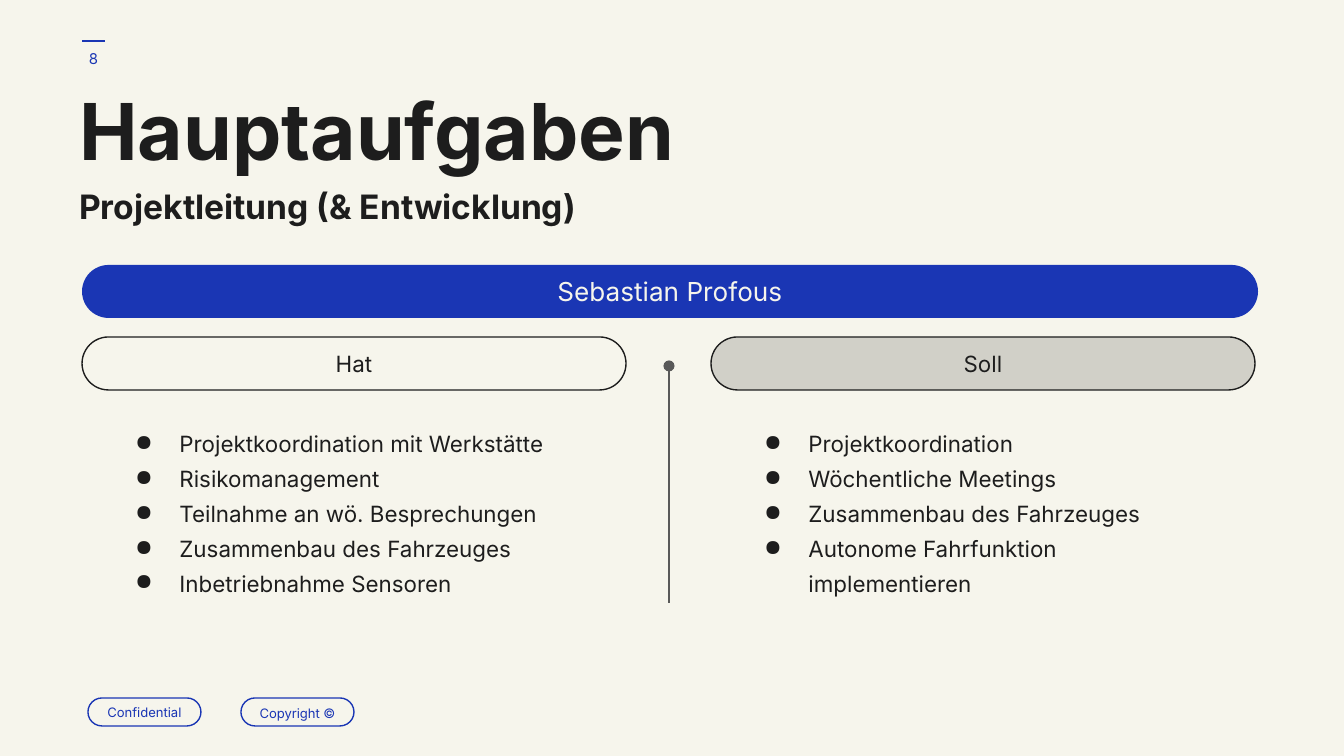
from lxml import etree
from pptx import Presentation
from pptx import util as u
from pptx.dml.color import RGBColor
from pptx.enum import shapes, text
from pptx.oxml.ns import qn

PX = 914400 / 134.4
FONT = "Inter"
COLORS = {
    "paper": "F6F5EC",
    "ink": "1D1D1D",
    "blue": "1A36B4",
    "stone": "D1D0C8",
    "gray": "595959",
}


def px(*lengths):
    return [u.Emu(round(length * PX)) for length in lengths]


def color(name):
    return RGBColor.from_string(COLORS[name])


def write(box, lines, size, ink="ink", bold=False, align="LEFT", anchor="TOP",
          spacing=1.0, bullet=None):
    frame = box.text_frame
    frame.word_wrap = True
    frame.auto_size = text.MSO_AUTO_SIZE.NONE
    frame.vertical_anchor = text.MSO_ANCHOR[anchor]
    frame.margin_left = frame.margin_right = u.Inches(0.1)
    frame.margin_top = frame.margin_bottom = u.Inches(0.1)
    for index, line in enumerate(lines):
        para = frame.add_paragraph() if index else frame.paragraphs[0]
        para.alignment = text.PP_ALIGN[align]
        para.line_spacing = spacing
        para.space_before = u.Pt(0)
        if bullet:
            properties = para._p.get_or_add_pPr()
            properties.set("marL", str(u.Inches(0.5)))
            properties.set("indent", str(u.Inches(-0.33)))
            tint = etree.SubElement(properties, qn("a:buClr"))
            etree.SubElement(tint, qn("a:srgbClr"), val=COLORS[ink])
            etree.SubElement(properties, qn("a:buChar"), char=bullet)
        span = para.add_run()
        span.text = line
        span.font.name = FONT
        span.font.size = u.Pt(size)
        span.font.bold = bold
        span.font.color.rgb = color(ink)


class Page:
    def __init__(self, deck):
        self.slide = deck.slides.add_slide(deck.slide_layouts[5])
        fill = self.slide.background.fill
        fill.solid()
        fill.fore_color.rgb = color("paper")

    def title(self, line, left, top, width, height, **style):
        box = self.slide.shapes.title
        box.left, box.top, box.width, box.height = px(left, top, width, height)
        write(box, [line], **style)

    def label(self, lines, left, top, width, height, **style):
        box = self.slide.shapes.add_textbox(*px(left, top, width, height))
        write(box, lines, **style)

    def pill(self, line, left, top, width, height, fill=None, edge=None, **style):
        box = self.slide.shapes.add_shape(
            shapes.MSO_SHAPE.ROUNDED_RECTANGLE, *px(left, top, width, height))
        box.adjustments[0] = 0.5
        box.shadow.inherit = False
        if fill:
            box.fill.solid()
            box.fill.fore_color.rgb = color(fill)
        else:
            box.fill.background()
        if edge:
            box.line.color.rgb = color(edge)
            box.line.width = u.Pt(0.75)
        else:
            box.line.fill.background()
        write(box, [line], align="CENTER", anchor="MIDDLE", **style)

    def rule(self, x1, y1, x2, y2, ink, head=None):
        line = self.slide.shapes.add_connector(
            shapes.MSO_CONNECTOR.STRAIGHT, *px(x1, y1, x2, y2))
        line.line.color.rgb = color(ink)
        line.line.width = u.Pt(0.75)
        if head:
            etree.SubElement(line.line._get_or_add_ln(), qn("a:headEnd"), type=head)
        etree.SubElement(line._element.spPr, qn("a:effectLst"))


def main():
    deck = Presentation()
    deck.slide_width, deck.slide_height = px(1344, 756)
    page = Page(deck)

    page.rule(105, 41, 82, 41, "blue")
    page.label(["8"], 62, 30, 63, 58, size=8, ink="blue", align="CENTER",
               anchor="MIDDLE")
    page.title("Hauptaufgaben", 66, 87, 716, 105, size=42, bold=True, spacing=0.8)
    page.label(["Projektleitung (& Entwicklung)"], 66, 180, 727, 52, size=18,
               bold=True, spacing=0.8)
    page.pill("Sebastian Profous", 82, 265, 1176, 53, fill="blue", size=14,
              ink="paper")

    columns = [
        ("Hat", None, [
            "Projektkoordination mit Werkstätte",
            "Risikomanagement",
            "Teilnahme an wö. Besprechungen",
            "Zusammenbau des Fahrzeuges",
            "Inbetriebnahme Sensoren",
        ]),
        ("Soll", "stone", [
            "Projektkoordination",
            "Wöchentliche Meetings",
            "Zusammenbau des Fahrzeuges",
            "Autonome Fahrfunktion implementieren",
        ]),
    ]
    for index, (heading, fill, tasks) in enumerate(columns):
        left = 82 + index * 629
        page.pill(heading, left, 337, 544, 53, fill=fill, edge="ink", size=12)
        page.label(tasks, left + 17, 409, 511, 204, size=12, spacing=1.3, bullet="●")
    page.rule(669, 366, 669, 603, "gray", head="oval")

    for index, (notice, spacing) in enumerate([("Confidential", 1.0),
                                               ("Copyright ©", 1.15)]):
        page.pill(notice, 88 + index * 153, 698, 113, 28, edge="blue", size=7,
                  ink="blue", spacing=spacing)

    deck.save("out.pptx")


if __name__ == "__main__":
    main()
